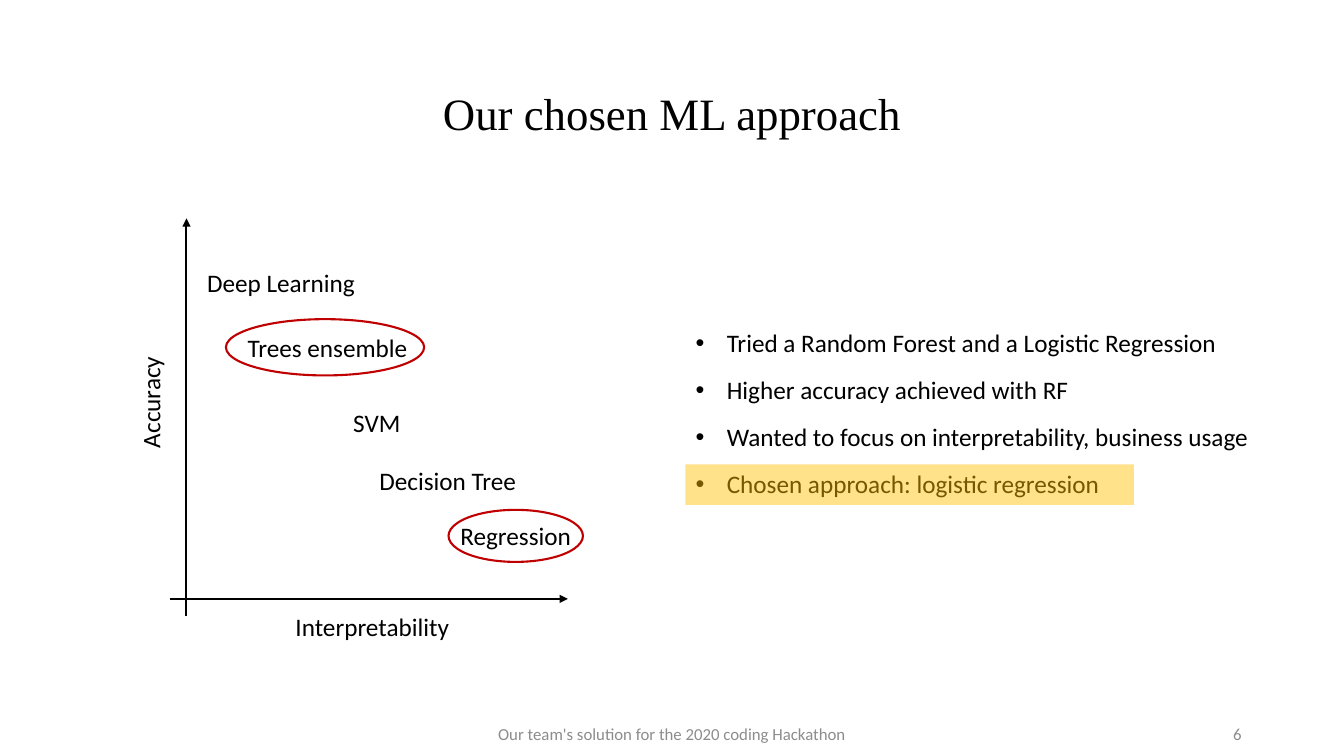
from lxml import etree
from pptx import Presentation
from pptx import util as u
from pptx.dml.color import RGBColor
from pptx.enum import shapes, text
from pptx.oxml import ns

LEFT, CENTER, RIGHT = text.PP_ALIGN.LEFT, text.PP_ALIGN.CENTER, text.PP_ALIGN.RIGHT


def color(value):
    return RGBColor.from_string(value)


class PageBuilder:
    columns, rows = 80, 45
    body_font, title_font = "Calibri", "Times New Roman"
    ink, muted, accent, marker = "000000", "8C8C8C", "C00000", "FFC000"
    label_height = 2.4

    def __init__(self, deck):
        self.deck = deck
        self.page = deck.slides.add_slide(deck.slide_layouts[1])

    def x(self, columns):
        return round(self.deck.slide_width * columns / self.columns)

    def y(self, rows):
        return round(self.deck.slide_height * rows / self.rows)

    def area(self, left, top, width, height):
        return self.x(left), self.y(top), self.x(width), self.y(height)

    def place(self, box, area):
        box.left, box.top, box.width, box.height = self.area(*area)

    def format(self, box, size, font=None, ink=None, align=LEFT):
        for para in box.text_frame.paragraphs:
            para.alignment = align
            for span in para.runs:
                span.font.size = u.Pt(size)
                span.font.name = font or self.body_font
                span.font.color.rgb = color(ink or self.ink)

    def title(self, words, area):
        box = self.page.shapes.title
        self.place(box, area)
        frame = box.text_frame
        frame.text = words
        frame.auto_size = text.MSO_AUTO_SIZE.NONE
        frame.vertical_anchor = text.MSO_ANCHOR.BOTTOM
        frame.paragraphs[0].line_spacing = 0.9
        self.format(box, 32, self.title_font, align=CENTER)

    def bullets(self, items, area):
        box = self.page.placeholders[1]
        self.place(box, area)
        frame = box.text_frame
        frame.text = "\n".join(items)
        frame.auto_size = text.MSO_AUTO_SIZE.NONE
        indent = u.Inches(0.31)
        for para in frame.paragraphs:
            para.space_before = para.space_after = u.Pt(6)
            properties = para._p.get_or_add_pPr()
            properties.set("marL", str(indent))
            properties.set("indent", str(-indent))
        self.format(box, 18)

    def label(self, words, left, top, width, align=CENTER, size=18, ink=None,
              anchor=text.MSO_ANCHOR.TOP, rotation=0):
        box = self.page.shapes.add_textbox(*self.area(left, top, width, self.label_height))
        box.rotation = rotation
        frame = box.text_frame
        frame.text = words
        frame.word_wrap = True
        frame.vertical_anchor = anchor
        self.format(box, size, ink=ink, align=align)

    def footer(self, words, left, width, align):
        self.label(words, left, 42.5, width, align, 12, self.muted, text.MSO_ANCHOR.MIDDLE)

    def arrow(self, start, end):
        axis = self.page.shapes.add_connector(
            shapes.MSO_CONNECTOR.STRAIGHT,
            self.x(start[0]), self.y(start[1]), self.x(end[0]), self.y(end[1]))
        axis.line.color.rgb = color(self.ink)
        axis.line.width = u.Pt(1.5)
        etree.SubElement(axis.line._get_or_add_ln(), ns.qn("a:tailEnd"), type="triangle")
        etree.SubElement(axis._element.spPr, ns.qn("a:effectLst"))

    def ring(self, *area):
        ellipse = self.page.shapes.add_shape(shapes.MSO_SHAPE.OVAL, *self.area(*area))
        ellipse.shadow.inherit = False
        ellipse.fill.background()
        ellipse.line.color.rgb = color(self.accent)
        ellipse.line.width = u.Pt(1.5)

    def highlight(self, *area):
        band = self.page.shapes.add_shape(shapes.MSO_SHAPE.RECTANGLE, *self.area(*area))
        band.shadow.inherit = False
        band.line.fill.background()
        band.fill.solid()
        band.fill.fore_color.rgb = color(self.marker)
        tone = band._element.spPr.find(".//" + ns.qn("a:srgbClr"))
        etree.SubElement(tone, ns.qn("a:alpha"), val="46000")


def main():
    deck = Presentation()
    deck.slide_width, deck.slide_height = u.Inches(13.33), u.Inches(7.5)
    builder = PageBuilder(deck)

    builder.title("Our chosen ML approach", (0, 4.8, 80, 3.84))
    builder.footer("Our team's solution for the 2020 coding Hackathon", 26.5, 27, CENTER)
    builder.footer("6", 56.5, 18, RIGHT)

    builder.arrow((11.1, 36.65), (11.1, 13))
    builder.arrow((10.15, 35.65), (33.8, 35.65))
    builder.label("Interpretability", 17, 36.1, 13, LEFT)
    builder.label("Accuracy", 2.45, 22.75, 13, rotation=270)

    models = [
        ("Deep Learning", 11.05, 15.6, 11.35),
        ("Trees ensemble", 11.7, 19.5, 15.6),
        ("SVM", 19.4, 23.95, 6.05),
        ("Decision Tree", 21.85, 27.4, 9.6),
        ("Regression", 26.7, 30.65, 8),
    ]
    for model in models:
        builder.label(*model)
    builder.ring(26.7, 30.35, 8, 3.1)
    builder.ring(13.45, 19, 11.8, 3.35)

    builder.bullets([
        "Tried a Random Forest and a Logistic Regression",
        "Higher accuracy achieved with RF",
        "Wanted to focus on interpretability, business usage",
        "Chosen approach: logistic regression",
    ], (40.8, 19.2, 35.2, 10.9))
    builder.highlight(40.8, 27.65, 26.7, 2.4)

    deck.save("out.pptx")


if __name__ == "__main__":
    main()
